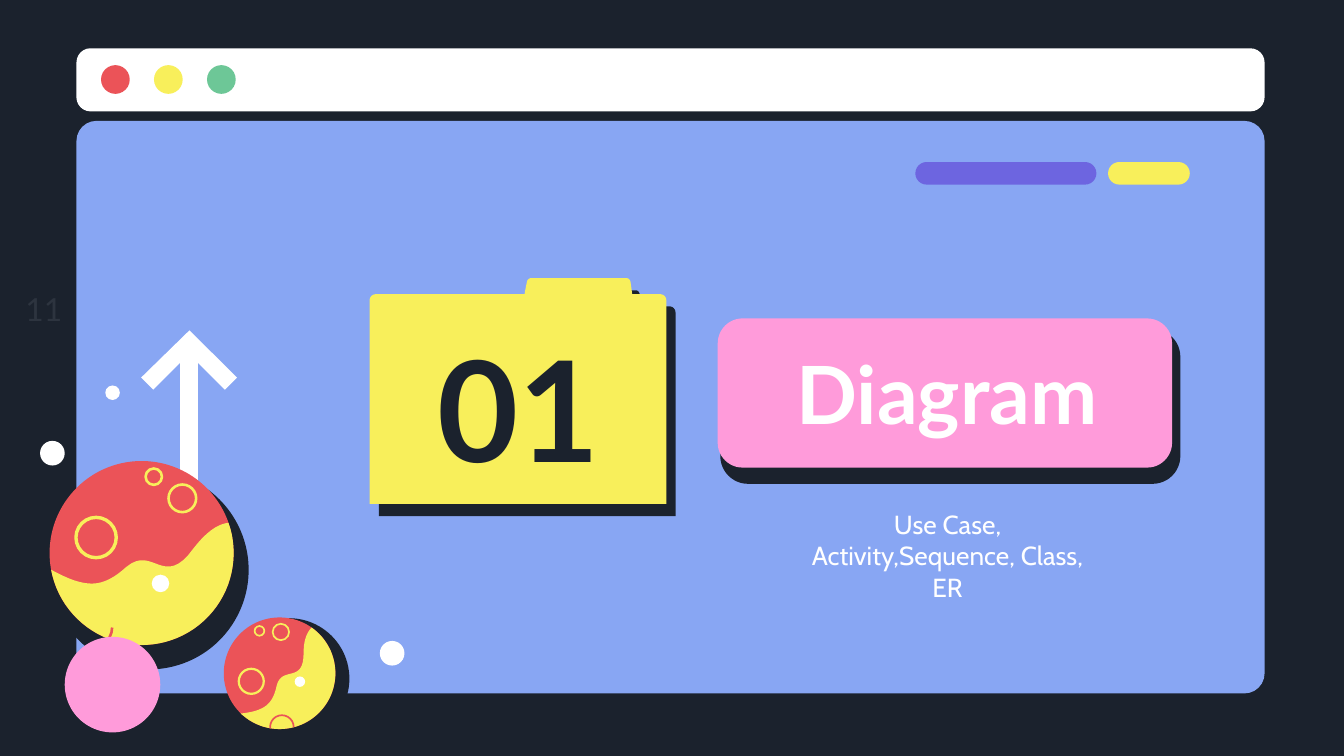
from math import atan2, cos, pi, sin

from lxml import etree
from pptx import Presentation
from pptx.dml.color import RGBColor
from pptx.enum.shapes import MSO_SHAPE
from pptx.enum.text import MSO_ANCHOR, PP_ALIGN
from pptx.oxml.ns import qn
from pptx.util import Pt

OVAL, ROUND, ARC = MSO_SHAPE.OVAL, MSO_SHAPE.ROUNDED_RECTANGLE, MSO_SHAPE.ARC
TOP, MIDDLE = MSO_ANCHOR.TOP, MSO_ANCHOR.MIDDLE
CENTER = PP_ALIGN.CENTER

NAVY, BLUE, WHITE, PINK = "1B222D", "88A6F3", "FFFFFF", "FF9BDA"
RED, YELLOW, GREEN, PURPLE = "EB5358", "F8EF5B", "6DC797", "6D65E0"
FAINT = "2D343F"

PANELS = [
    (41, 64.8, 636.5, 306.7, 0.035, BLUE),
    (41, 25.9, 636.5, 33.8, 0.223, WHITE),
    (490.4, 86.8, 97, 12.1, 0.5, PURPLE),
    (593.6, 86.8, 43.8, 12.1, 0.5, YELLOW),
]
LIGHTS = [RED, YELLOW, GREEN]
LIGHT_X, LIGHT_Y, LIGHT_GAP, LIGHT_R = 61.8, 42.6, 28.4, 7.7
BUTTON = (384.5, 170.6, 243.4, 79.9, 0.167)
BUTTON_SHADOW = (387.4, 177.8, 243.4, 79.9, 0.167)

ARROW = [(96.5, 309), (96.5, 194.4), (82.1, 208.8), (75.6, 202.3), (101.5, 177),
         (127, 202.3), (120.5, 208.8), (106, 194.4), (106, 309)]
FOLDER = [(357, 161), (357, 270), (198, 270), (198, 161),
          (198, 159, 199.5, 157.6, 201.5, 157.6), (281, 157.6), (282.3, 151),
          (282.5, 149.8, 283.5, 149, 284.7, 149), (335.5, 149),
          (336.7, 149, 337.5, 149.8, 337.8, 151), (338.7, 157.6), (353.5, 157.6),
          (355.5, 157.6, 357, 159, 357, 161)]

BIG_PLANET = {
    "shadow": (79.9, 305.3, 53.3),
    "body": (75.9, 296.3, 49.3),
    "wave": [(27.4, 305.3), (46.1, 315.4, 54.7, 315.4, 67.7, 303.8),
             (82.1, 291.6, 87.8, 316.1, 103.7, 293.8),
             (111.6, 283.7, 117.4, 280.8, 122.4, 280.1)],
    "rings": [(51.5, 288, 10.8, 1.8), (97.7, 267, 7.4, 1.4), (82.4, 255.4, 4.4, 1.4)],
    "crater": (49.7, 336.2, 10.4, 1.4, 211, 31),
    "dot": (86, 312.6, 4.7),
}
SMALL_PLANET = {
    "shadow": (154.8, 363.6, 32.4),
    "body": (149.8, 360.7, 29.9),
    "wave": [(128.9, 382.3), (141.8, 380.9, 146.2, 377.3, 148.3, 367.2),
             (151.2, 356.4, 162.7, 366.5, 162.7, 349.9),
             (162.7, 342, 164.9, 338.4, 167, 336.2)],
    "rings": [(134.6, 365, 6.7, 1.2), (150.5, 338.6, 4.4, 0.9), (139, 338, 2.6, 0.9)],
    "crater": (151, 389.5, 6.3, 0.9, 174, 354),
    "dot": (160.7, 365.2, 2.8),
}
PINK_BALL = (60.3, 366.8, 25.6)
BUBBLES = [(28.1, 242.8, 6.6), (210.1, 350, 6.6), (60.3, 210.4, 3.9)]


def rgb(color):
    return RGBColor.from_string(color)


def paint(sp, fill=None, line=None, width=1):
    sp.shadow.inherit = False
    if fill:
        sp.fill.solid()
        sp.fill.fore_color.rgb = rgb(fill)
    else:
        sp.fill.background()
    if line:
        sp.line.color.rgb = rgb(line)
        sp.line.width = Pt(width)
    else:
        sp.line.fill.background()
    return sp


def panel(x, y, w, h, radius, fill, **fmt):
    sp = shapes.add_shape(ROUND, Pt(x), Pt(y), Pt(w), Pt(h))
    sp.adjustments[0] = radius
    return paint(sp, fill, **fmt)


def circle(cx, cy, r, fill=None, kind=OVAL, **fmt):
    sp = shapes.add_shape(kind, Pt(cx - r), Pt(cy - r), Pt(2 * r), Pt(2 * r))
    return paint(sp, fill, **fmt)


def flatten(path, steps=16):
    points = [path[0]]
    for part in path[1:]:
        if len(part) == 2:
            points.append(part)
            continue
        x0, y0 = points[-1]
        x1, y1, x2, y2, x3, y3 = part
        for i in range(1, steps + 1):
            t = i / steps
            a, b, c, d = (1 - t) ** 3, 3 * t * (1 - t) ** 2, 3 * t * t * (1 - t), t ** 3
            points.append((a * x0 + b * x1 + c * x2 + d * x3,
                           a * y0 + b * y1 + c * y2 + d * y3))
    return points


def outline(points, fill):
    pts = [(Pt(x), Pt(y)) for x, y in points]
    builder = shapes.build_freeform(*pts[0])
    builder.add_line_segments(pts[1:], close=True)
    return paint(builder.convert_to_shape(), fill)


def drop_shadow(sp, color, distance, degrees):
    effects = sp._element.spPr.find(qn("a:effectLst"))
    shadow = etree.SubElement(effects, qn("a:outerShdw"), blurRad="0",
                              dist=str(Pt(distance)), dir=str(degrees * 60000),
                              algn="bl", rotWithShape="0")
    etree.SubElement(shadow, qn("a:srgbClr"), val=color)


def planet(shadow, body, wave, rings, crater, dot):
    circle(*shadow, NAVY)
    circle(*body, RED)
    cx, cy, r = body
    curve = flatten(wave)
    start, end = (atan2(y - cy, x - cx) for x, y in (curve[-1], curve[0]))
    sweep = (end - start) % (2 * pi)
    angles = [start + sweep * i / 48 for i in range(1, 48)]
    outline(curve + [(cx + r * cos(a), cy + r * sin(a)) for a in angles], YELLOW)
    for x, y, radius, width in rings:
        circle(x, y, radius, line=YELLOW, width=width)
    x, y, radius, width, first, last = crater
    sp = circle(x, y, radius, kind=ARC, line=RED, width=width)
    for i, angle in enumerate((first, last)):
        sp.adjustments[i] = (angle if angle <= 180 else angle - 360) * 0.6
    circle(*dot, WHITE)


def text(words, x, y, w, h, size=14, font="Lato", color=WHITE, bold=False,
         anchor=MIDDLE, inset=7.2):
    tf = shapes.add_textbox(Pt(x), Pt(y), Pt(w), Pt(h)).text_frame
    tf.word_wrap = True
    tf.vertical_anchor = anchor
    tf.margin_left = tf.margin_right = tf.margin_top = tf.margin_bottom = Pt(inset)
    p = tf.paragraphs[0]
    p.alignment = CENTER
    r = p.add_run()
    r.text = words
    r.font.size, r.font.name, r.font.bold = Pt(size), font, bold
    r.font.color.rgb = rgb(color)


prs = Presentation()
prs.slide_width, prs.slide_height = Pt(720), Pt(405)
s = prs.slides.add_slide(prs.slide_layouts[6])
s.background.fill.solid()
s.background.fill.fore_color.rgb = rgb(NAVY)
shapes = s.shapes

for item in PANELS:
    panel(*item)
for i, color in enumerate(LIGHTS):
    circle(LIGHT_X + i * LIGHT_GAP, LIGHT_Y, LIGHT_R, color)
text("11", 5, 152, 37, 27, size=17, color=FAINT, inset=0)

outline(ARROW, WHITE)
panel(*BUTTON_SHADOW, NAVY, line=NAVY, width=3)
panel(*BUTTON, PINK)
drop_shadow(outline(flatten(FOLDER, 6), YELLOW), NAVY, 8.2, 53)

text("Diagram", 392.4, 177.1, 229.7, 66.2, size=43, bold=True)
text("Use Case, Activity,Sequence, Class, ER", 419.8, 265, 175.7, 49.7,
     font="Cabin", anchor=TOP)
text("01", 216.7, 182.2, 122.4, 71.3, size=75, color=NAVY, bold=True)

planet(**BIG_PLANET)
circle(*PINK_BALL, PINK)
planet(**SMALL_PLANET)
for bubble in BUBBLES:
    circle(*bubble, WHITE)

prs.save("out.pptx")
